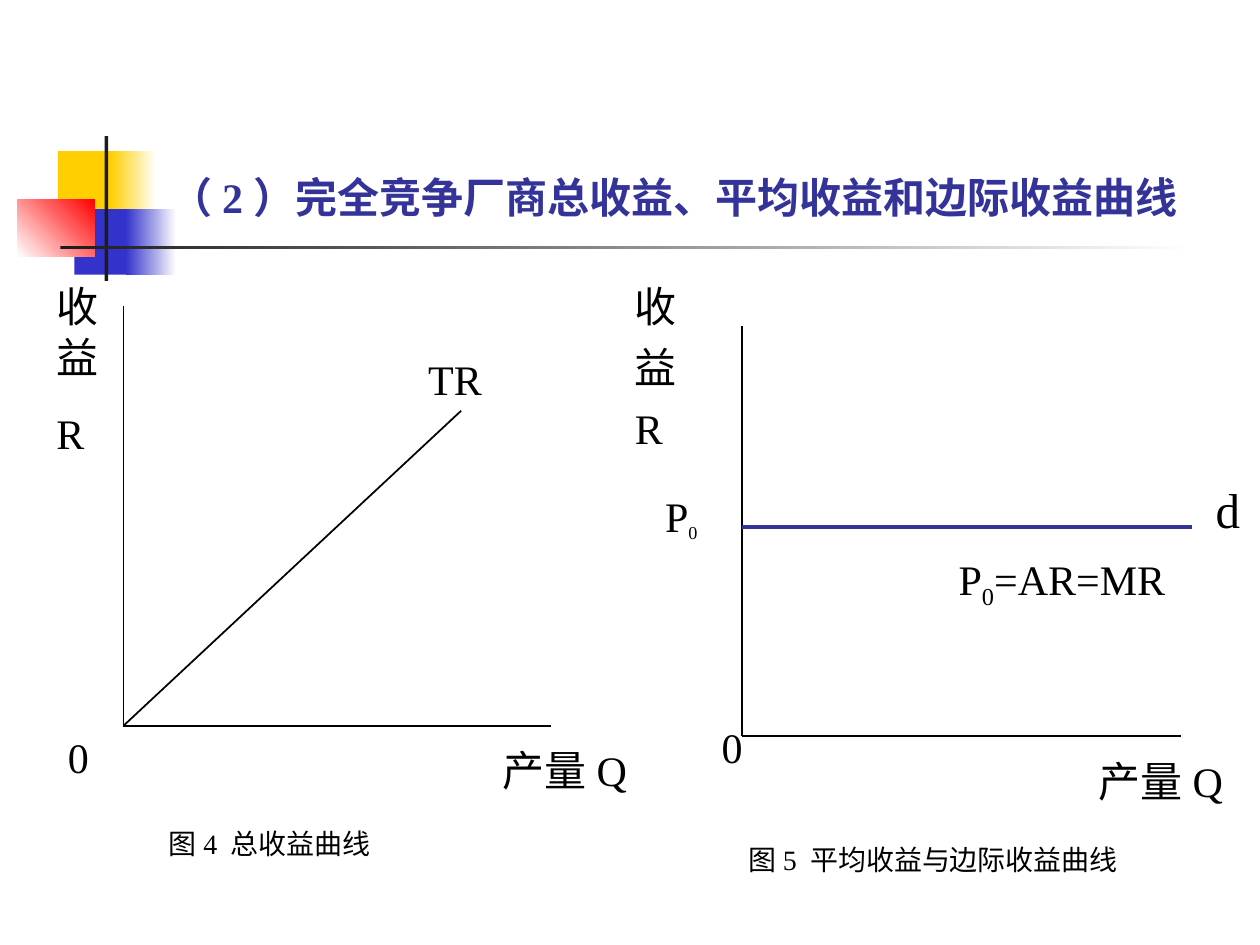
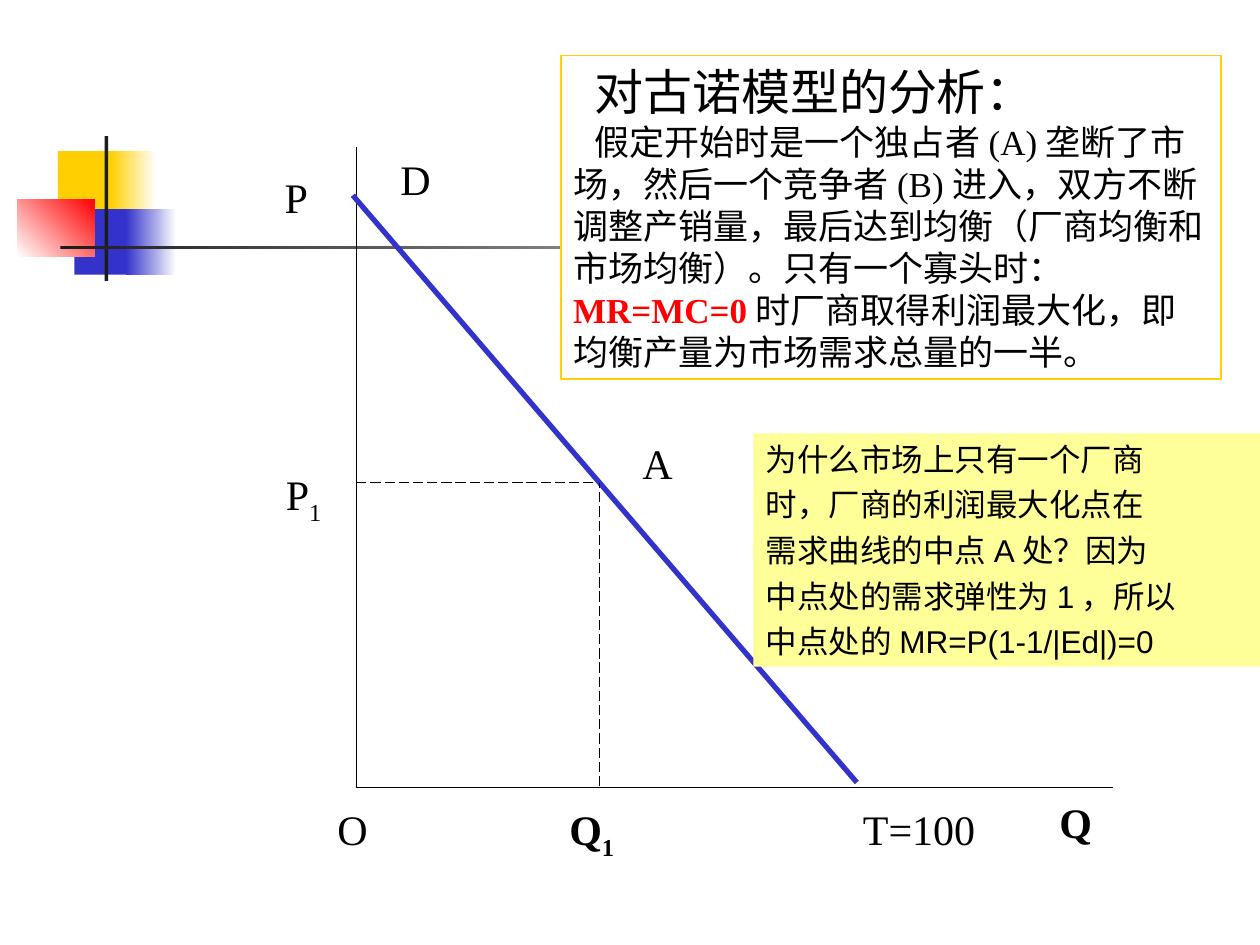
import pptx
import pptx.dml.color
import pptx.enum.dml
import pptx.enum.shapes
import pptx.enum.text
import pptx.oxml.ns
import pptx.util
from lxml import etree
from pptx.util import Inches, Pt

RGBColor = pptx.dml.color.RGBColor
BLACK = RGBColor(0x00, 0x00, 0x00)
WHITE = RGBColor(0xFF, 0xFF, 0xFF)
CHARCOAL = RGBColor(0x1C, 0x1C, 0x1C)
GOLD = RGBColor(0xFF, 0xCF, 0x01)
BLUE = RGBColor(0x33, 0x33, 0xCC)
INDIGO = RGBColor(0x33, 0x33, 0x99)
RED = RGBColor(0xFF, 0x00, 0x00)
PALE_YELLOW = RGBColor(0xFF, 0xFF, 0x99)

SERIF = "Times New Roman"
SANS = "Arial"
BOLD = {"bold": True}
SUBSCRIPT = {"subscript": True}
SANS_STYLE = {"font": SANS}
CAPTION = {"size": 16}

# Master decoration: left, top, width, height, colours (two make a gradient), angle
DECORATION = [
    (0.46, 1.2, 0.48, 0.52, [GOLD], 0),
    (0.88, 1.2, 0.36, 0.52, [GOLD, WHITE], 0),
    (0.59, 1.66, 0.46, 0.52, [BLUE], 0),
    (1, 1.66, 0.4, 0.52, [BLUE, WHITE], 0),
    (0.14, 1.58, 0.61, 0.46, [WHITE, RED], 45),
    (0.83, 1.08, 0.03, 1.15, [CHARCOAL], 0),
    (0.48, 1.95, 9, 0.03, [CHARCOAL, WHITE], 0),
]

# Lines: start, end, colour, width in points, dashed
# Labels: (left, top, width, height), space between paragraphs, paragraphs of runs
REVENUE_TITLE = "（2）完全竞争厂商总收益、平均收益和边际收益曲线"
TOTAL_ORIGIN = (0.98, 5.76)
AVERAGE_ORIGIN = (5.89, 5.84)
REVENUE_LINES = [
    ((0.98, 2.43), TOTAL_ORIGIN, BLACK, 1, False),
    (TOTAL_ORIGIN, (4.37, 5.76), BLACK, 1, False),
    (TOTAL_ORIGIN, (3.66, 3.26), BLACK, 1, False),
    ((5.89, 2.59), AVERAGE_ORIGIN, BLACK, 1, False),
    (AVERAGE_ORIGIN, (9.37, 5.84), BLACK, 1, False),
    ((5.89, 4.18), (9.46, 4.18), INDIGO, 2.25, False),
]
REVENUE_LABELS = [
    ((3.89, 5.86, 1.18, 0.5), 0, [[("产量Q", {})]]),
    ((8.62, 5.95, 1.18, 0.5), 0, [[("产量Q", {})]]),
    ((0.44, 5.76, 0.36, 0.5), 0, [[("0", {})]]),
    ((5.63, 5.68, 0.36, 0.5), 0, [[("0", {})]]),
    ((3.3, 2.76, 0.62, 0.5), 0, [[("TR", {})]]),
    ((5.18, 3.84, 0.46, 0.53), 0, [[("P", {}), ("0", {"size": 18, **SUBSCRIPT})]]),
    ((7.51, 4.34, 1.84, 0.56), 0, [[("P", {}), ("0", SUBSCRIPT), ("=AR=MR", {})]]),
    ((1.24, 6.51, 1.88, 0.37), 0, [[("图4 总收益曲线", CAPTION)]]),
    ((5.84, 6.64, 3.13, 0.37), 0, [[("图5 平均收益与边际收益曲线", CAPTION)]]),
    ((0.35, 2.18, 0.63, 1.51), 15, [[("收益", SANS_STYLE)], [("R", {})]]),
    ((4.94, 2.18, 1.28, 1.47), 6,
     [[("收", SANS_STYLE)], [("益", SANS_STYLE)], [("R", {})]]),
    ((9.55, 3.76, 0.45, 0.57), 0, [[("d", {"size": 28})]]),
]

COURNOT_ORIGIN = (2.83, 6.25)
COURNOT_LINES = [
    ((2.83, 1.17), COURNOT_ORIGIN, BLACK, 0.75, False),
    (COURNOT_ORIGIN, (8.83, 6.25), BLACK, 0.75, False),
    ((2.8, 1.55), (6.8, 6.21), BLUE, 3, False),
    ((4.76, 6.24), (4.76, 3.83), BLACK, 0.75, True),
    ((4.71, 3.83), (2.8, 3.83), BLACK, 0.75, True),
]
COURNOT_LABELS = [
    ((2.17, 3.67, 0.58, 0.56), 0, [[("P", {}), ("1", SUBSCRIPT)]]),
    ((4.42, 6.33, 0.67, 0.56), 0, [[("Q", BOLD), ("1", {**BOLD, **SUBSCRIPT})]]),
    ((2.58, 6.33, 0.5, 0.5), 0, [[("O", {})]]),
    ((3.08, 1.17, 0.67, 0.5), 0, [[("D", {})]]),
    ((5, 3.42, 0.83, 0.5), 0, [[("A", {})]]),
    ((6.75, 6.33, 1.32, 0.5), 0, [[("T=100", {})]]),
    ((2.16, 1.31, 0.58, 0.5), 0, [[("P", {})]]),
    ((8.31, 6.27, 0.67, 0.5), 0, [[("Q", BOLD)]]),
]
ANALYSIS_STYLE = {"size": 20}
ANALYSIS = [
    [("对古诺模型的分析：", {"size": 28, "font": SANS})],
    [
        ("假定开始时是一个独占者(A)垄断了市场，然后一个竞争者(B)进入，双方不断"
         "调整产销量，最后达到均衡（厂商均衡和市场均衡）。只有一个寡头时：", ANALYSIS_STYLE),
        ("MR=MC=0", {**ANALYSIS_STYLE, **BOLD, "color": RED}),
        ("时厂商取得利润最大化，即均衡产量为市场需求总量的一半。", ANALYSIS_STYLE),
    ],
]
MIDPOINT_REASON = [
    "为什么市场上只有一个厂商",
    "时，厂商的利润最大化点在",
    "需求曲线的中点A处？因为",
    "中点处的需求弹性为1，所以",
    "中点处的MR=P(1-1/|Ed|)=0",
]


def add_run(paragraph, text, size=24, font=SERIF, color=BLACK, bold=False, subscript=False):
    run = paragraph.add_run()
    run.text = text
    run.font.size = Pt(size)
    run.font.name = font
    run.font.color.rgb = color
    run.font.bold = bold
    if subscript:
        run._r.get_or_add_rPr().set("baseline", "-25000")


def fill_text(frame, paragraphs, space_before=0, first_line_indent=0):
    frame.word_wrap = True
    for index, runs in enumerate(paragraphs):
        paragraph = frame.add_paragraph() if index else frame.paragraphs[0]
        paragraph.alignment = pptx.enum.text.PP_ALIGN.LEFT
        paragraph.space_before = Pt(space_before if index else 0)
        if first_line_indent:
            paragraph._p.get_or_add_pPr().set("indent", str(Inches(first_line_indent)))
        for text, style in runs:
            add_run(paragraph, text, **style)


def add_rectangle(slide, box, colors, angle=0, outline=None):
    shape = slide.shapes.add_shape(
        pptx.enum.shapes.MSO_SHAPE.RECTANGLE, *map(Inches, box))
    shape.shadow.inherit = False
    if len(colors) == 1:
        shape.fill.solid()
        shape.fill.fore_color.rgb = colors[0]
    else:
        shape.fill.gradient()
        shape.fill.gradient_angle = angle
        for stop, color in zip(shape.fill.gradient_stops, colors):
            stop.color.rgb = color
    if outline:
        shape.line.color.rgb = outline
        shape.line.width = Pt(1)
    else:
        shape.line.fill.background()
    return shape


def decorate_master(presentation, slide):
    """Draw the decoration on a slide, then move it to the master."""
    master_tree = presentation.slide_master.shapes.element
    for number, (*box, colors, angle) in enumerate(DECORATION, start=101):
        shape = add_rectangle(slide, box, colors, angle)
        shape.element.nvSpPr.cNvPr.set("id", str(number))
        master_tree.append(shape.element)


def add_lines(slide, lines):
    for start, end, color, width, dashed in lines:
        connector = slide.shapes.add_connector(
            pptx.enum.shapes.MSO_CONNECTOR.STRAIGHT, *map(Inches, start + end))
        connector.line.color.rgb = color
        connector.line.width = Pt(width)
        if dashed:
            connector.line.dash_style = pptx.enum.dml.MSO_LINE.LONG_DASH
        etree.SubElement(connector.element.spPr, pptx.oxml.ns.qn("a:effectLst"))


def add_labels(slide, labels):
    for box, space_before, paragraphs in labels:
        frame = slide.shapes.add_textbox(*map(Inches, box)).text_frame
        frame.margin_right = 0
        fill_text(frame, paragraphs, space_before)


def place_title(slide, text):
    title = slide.shapes.title
    title.left, title.top, title.width, title.height = map(Inches, (1.25, 1.31, 8.75, 0.5))
    title.text_frame.vertical_anchor = pptx.enum.text.MSO_ANCHOR.MIDDLE
    title.text_frame.auto_size = pptx.enum.text.MSO_AUTO_SIZE.NONE
    fill_text(title.text_frame, [[(text, {"color": INDIGO, **BOLD})]])


def build_revenue_slide(presentation):
    slide = presentation.slides.add_slide(presentation.slide_layouts[5])
    decorate_master(presentation, slide)
    place_title(slide, REVENUE_TITLE)
    add_lines(slide, REVENUE_LINES)
    add_labels(slide, REVENUE_LABELS)


def build_cournot_slide(presentation):
    slide = presentation.slides.add_slide(presentation.slide_layouts[6])
    add_lines(slide, COURNOT_LINES)
    add_labels(slide, COURNOT_LABELS)

    analysis_box = add_rectangle(slide, (4.45, 0.44, 5.24, 2.57), [WHITE], outline=GOLD)
    reason_box = add_rectangle(slide, (5.98, 3.44, 4.21, 1.85), [PALE_YELLOW])
    for shape in (analysis_box, reason_box):
        shape.text_frame.vertical_anchor = pptx.enum.text.MSO_ANCHOR.TOP
    fill_text(analysis_box.text_frame, ANALYSIS, first_line_indent=0.17)
    reason_style = {"size": 18, "font": SANS}
    fill_text(reason_box.text_frame,
              [[(line, reason_style)] for line in MIDPOINT_REASON], space_before=4.5)


def main():
    presentation = pptx.Presentation()
    presentation.slide_width = Inches(10)
    presentation.slide_height = Inches(7.5)
    build_revenue_slide(presentation)
    build_cournot_slide(presentation)
    presentation.save("out.pptx")


if __name__ == "__main__":
    main()
